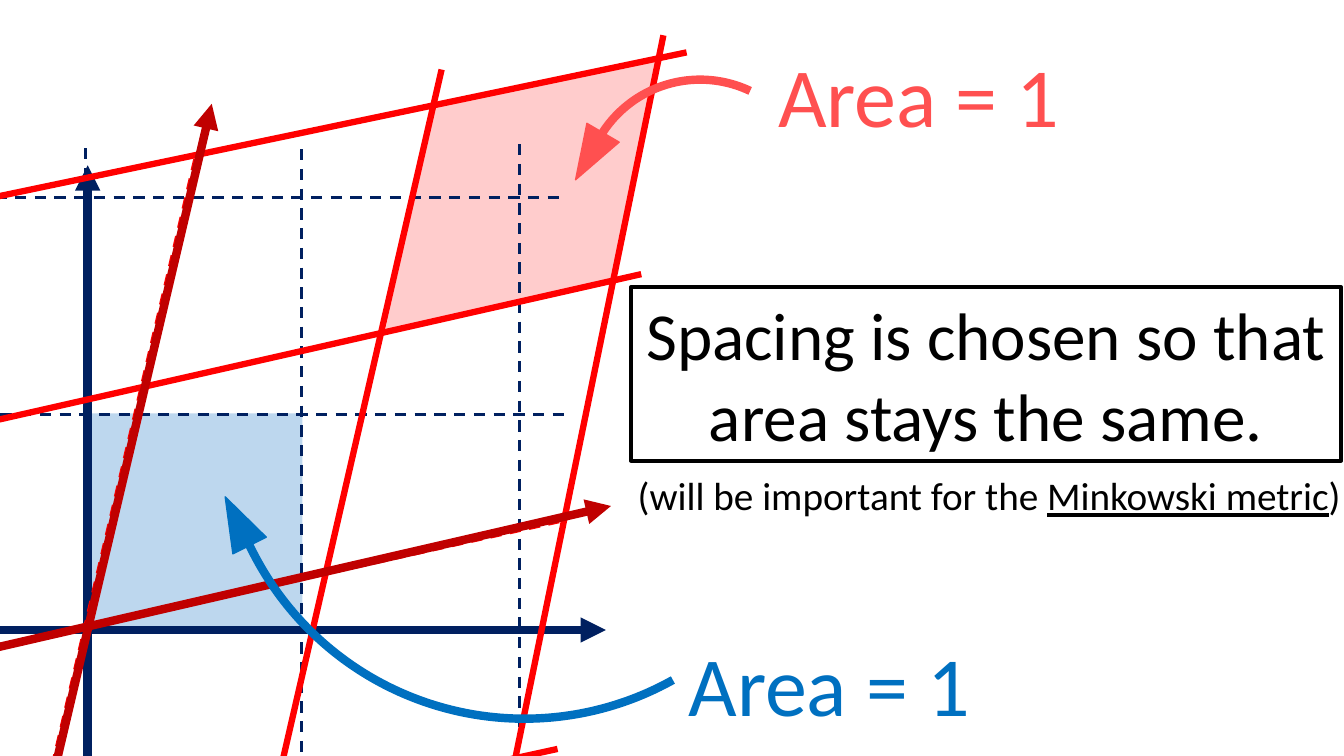
from lxml import etree
from pptx import Presentation
from pptx.dml.color import RGBColor
from pptx.enum.dml import MSO_LINE
from pptx.enum.shapes import MSO_CONNECTOR, MSO_SHAPE
from pptx.enum.text import MSO_ANCHOR, MSO_AUTO_SIZE, PP_ALIGN
from pptx.oxml.ns import qn
from pptx.util import Pt

STRAIGHT = MSO_CONNECTOR.STRAIGHT
DASH = MSO_LINE.DASH
CENTER, LEFT = PP_ALIGN.CENTER, PP_ALIGN.LEFT
FIT_TEXT = MSO_AUTO_SIZE.SHAPE_TO_FIT_TEXT
PX = 9144
NAVY, RED, DARK_RED, BLUE, CORAL, BLACK = "002060", "FF0000", "C00000", "0070C0", "FF5050", "000000"


def add_styled_shape(shapes, kind, box, fill=None, line=None, width=1, rotation=0):
    shape = shapes.add_shape(kind, *[length * PX for length in box])
    shape.shadow.inherit = False
    shape.rotation = rotation
    for format_fill, color in ((shape.fill, fill), (shape.line.fill, line)):
        if color:
            format_fill.solid()
            format_fill.fore_color.rgb = RGBColor.from_string(color)
        else:
            format_fill.background()
    if line:
        shape.line.width = Pt(width)
    return shape


def write_text(shape, runs, size, color, align, wrap):
    frame = shape.text_frame
    frame.word_wrap = wrap
    frame.auto_size = FIT_TEXT
    paragraph = frame.paragraphs[0]
    paragraph.alignment = align
    for text, underline in runs:
        run = paragraph.add_run()
        run.text = text
        run.font.name = "Calibri"
        run.font.size = Pt(size)
        run.font.underline = underline
        run.font.color.rgb = RGBColor.from_string(color)


presentation = Presentation()
presentation.slide_width = 1333 * PX
presentation.slide_height = 750 * PX
slide = presentation.slides.add_slide(presentation.slide_layouts[6])

sheared_cell = add_styled_shape(slide.shapes, MSO_SHAPE.PARALLELOGRAM, (357, 88, 325, 208), "FFCCCC", rotation=348)
sheared_cell.adjustments[0] = 0.45
add_styled_shape(slide.shapes, MSO_SHAPE.RECTANGLE, (88, 410, 212, 215), "BDD7EE")

line_sets = [
    (NAVY, 2, True, False, [
        (85, 147, 85, 1085), (299, 148, 299, 1086), (515, 143, 515, 1081),
        (-392, 625, 561, 625), (-391, 411, 562, 411), (-396, 196, 557, 196)]),
    (NAVY, 6, False, True, [(-379, 625, 601, 625), (87, 1091, 87, 164)]),
    (RED, 2, True, False, [(193, 158, -25, 1085), (-392, 729, 558, 517)]),
    (RED, 4.5, False, False, [
        (438, 69, 208, 1069), (658, 35, 461, 997), (-475, 967, 553, 743),
        (-371, 500, 636, 272), (-299, 257, 681, 52)]),
    (DARK_RED, 6, False, True, [(-423, 739, 606, 502), (-32, 1129, 210, 103)]),
]
grid = slide.shapes.add_group_shape()
for color, width, dashed, arrow, lines in line_sets:
    for ends in lines:
        connector = grid.shapes.add_connector(STRAIGHT, *[end * PX for end in ends])
        connector.line.width = Pt(width)
        connector.line.color.rgb = RGBColor.from_string(color)
        if dashed:
            connector.line.dash_style = DASH
        if arrow:
            etree.SubElement(connector.line._get_or_add_ln(), qn("a:tailEnd"), type="triangle")
        etree.SubElement(connector._element.spPr, qn("a:effectLst"))

message = add_styled_shape(slide.shapes, MSO_SHAPE.RECTANGLE, (626, 285, 704, 172), line=BLACK, width=3)
message.text_frame.vertical_anchor = MSO_ANCHOR.MIDDLE
write_text(message, [("Spacing is chosen so that area stays the same.", False)], 48, BLACK, CENTER, True)

area_labels = [
    (BLUE, (673, 623, 302, 111), (218, 109, 604, 604), 150.8, 3.017, (217, 490, 37, 54), 333.4),
    (CORAL, (762, 38, 302, 111), (579, 79, 231, 231), 295.4, 0, (566, 128, 37, 54), 210.3),
]
for color, label_box, arc_box, arc_rotation, arc_end, head_box, head_rotation in area_labels:
    group = slide.shapes.add_group_shape()
    label = group.shapes.add_textbox(*[length * PX for length in label_box])
    write_text(label, [("Area = 1", False)], 60, color, LEFT, False)
    arc = add_styled_shape(group.shapes, MSO_SHAPE.ARC, arc_box, line=color, width=6, rotation=arc_rotation)
    arc.adjustments[0] = 162
    arc.adjustments[1] = arc_end
    add_styled_shape(group.shapes, MSO_SHAPE.ISOSCELES_TRIANGLE, head_box, color, color, rotation=head_rotation)

note = slide.shapes.add_textbox(*[length * PX for length in (610, 463, 742, 57)])
note_runs = [("(will be important for the ", False), ("Minkowski metric", True), (")", False)]
write_text(note, note_runs, 28, BLACK, CENTER, True)

presentation.save("out.pptx")
